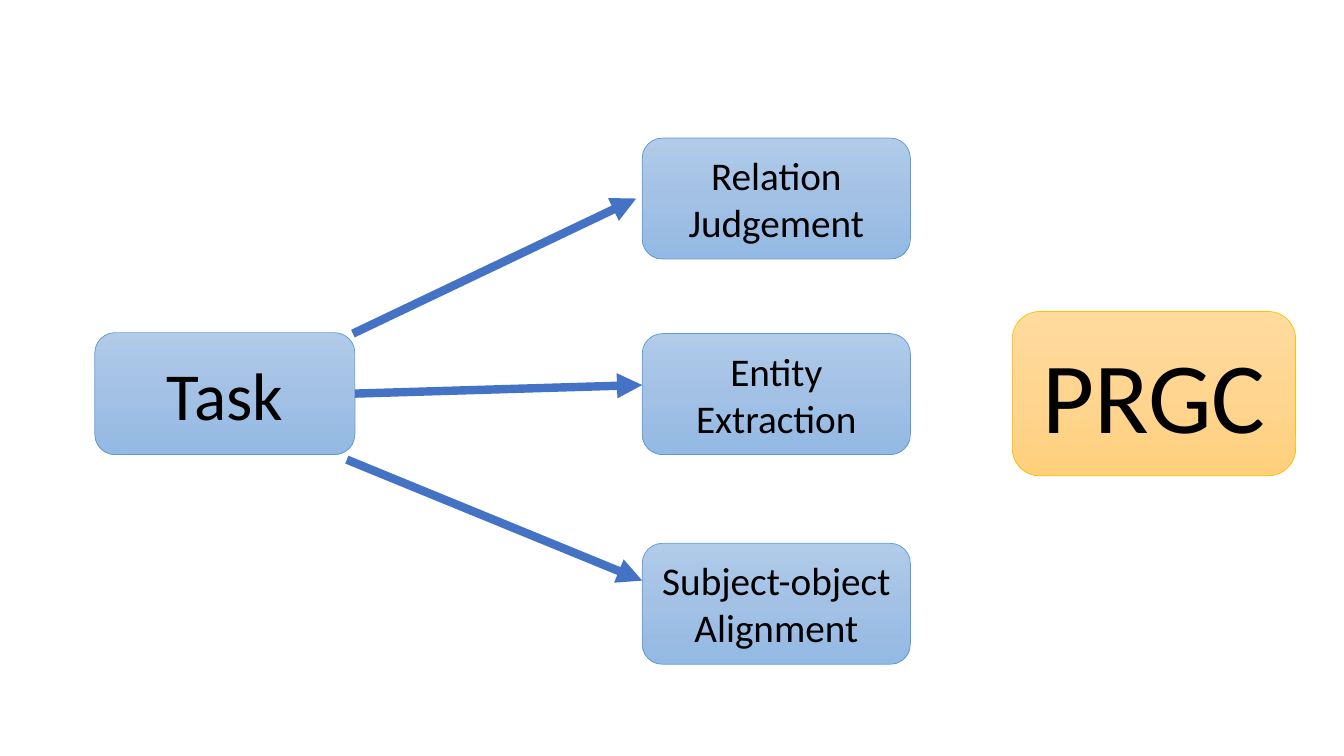
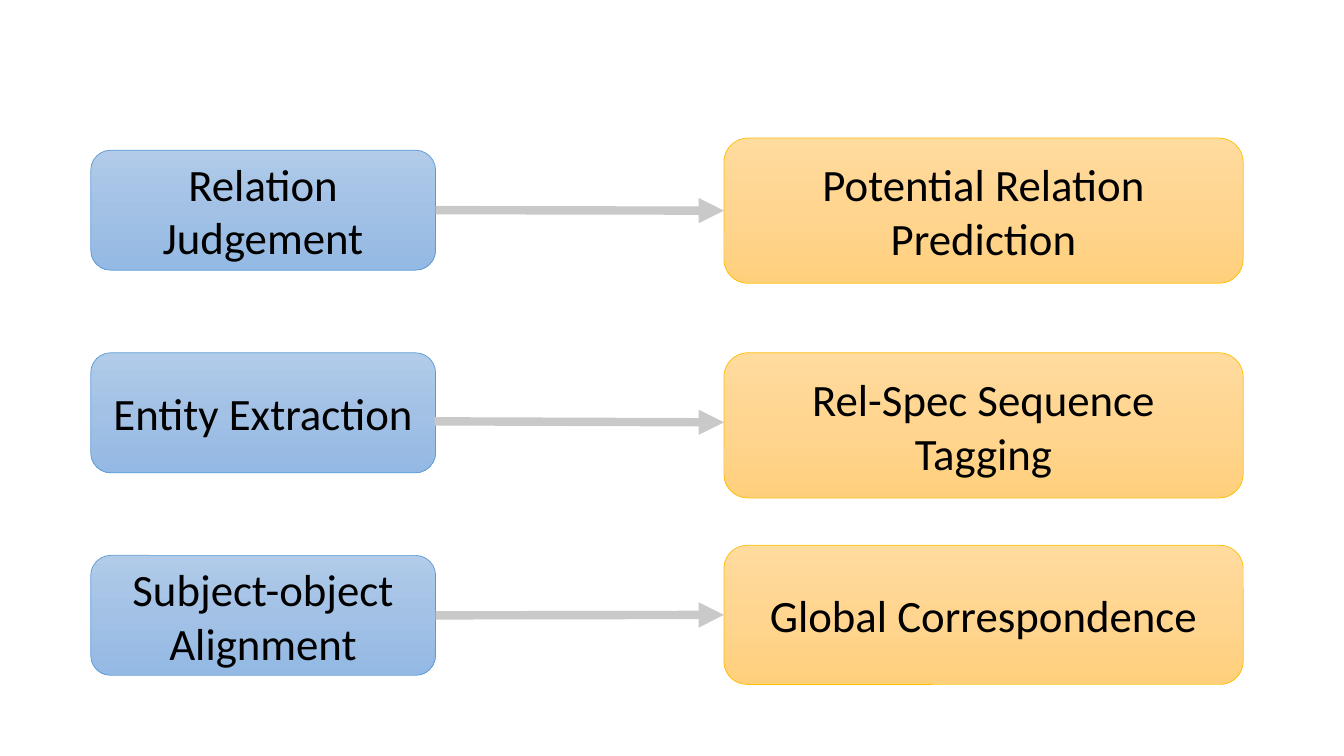
"""Build two slides that map extraction tasks to the parts of PRGC."""
import copy
from dataclasses import dataclass
from typing import Optional

import pptx
import pptx.dml.color
import pptx.enum.dml
import pptx.enum.shapes
import pptx.enum.text
import pptx.oxml
import pptx.oxml.ns
import pptx.util

SCALE = 9144
WIDE, HIGH = 1333, 750
FONT = "Calibri"
LEFT, RIGHT = 1, 3
COLORS = {
    "text": "000000",
    "blue_top": "B1CBE9", "blue_mid": "A3C1E5", "blue_low": "93B9E4", "blue_edge": "5B9BD5",
    "gold_top": "FFDB9E", "gold_mid": "FFD590", "gold_low": "FFD07C", "gold_edge": "FFC000",
    "link": "4472C4", "gray": "C9C9C9",
}
KINDS = pptx.enum.shapes.MSO_SHAPE
PILL = KINDS.FLOWCHART_ALTERNATE_PROCESS


@dataclass(frozen=True)
class Box:
    text: str
    x: int
    y: int
    w: int
    h: int
    size: int
    hue: str = "blue"
    kind: pptx.enum.shapes.MSO_SHAPE = PILL


@dataclass(frozen=True)
class Arrow:
    x1: int
    y1: int
    x2: int
    y2: int
    hue: str
    source: Optional[str] = None
    target: Optional[str] = None


TASKS = ("Relation Judgement", "Entity Extraction", "Subject-object Alignment")
PARTS = ("Potential Relation Prediction", "Rel-Spec Sequence Tagging", "Global Correspondence")

SPLIT = (
    [Box("Task", 94, 330, 258, 121, 48)]
    + [Box(task, 637, y, 266, 120, 28) for task, y in zip(TASKS, (137, 331, 539))]
    + [Box("PRGC", 1004, 309, 281, 163, 72, "gold", KINDS.ROUNDED_RECTANGLE)],
    [
        Arrow(350, 331, 631, 197, "link"),
        Arrow(344, 456, 637, 576, "link"),
        Arrow(352, 391, 637, 382, "link", source="Task"),
    ],
)
MATCH = (
    [Box(task, 90, 149 + 201 * row, 342, 119, 32) for row, task in enumerate(TASKS)]
    + [Box(part, 718, y, 515, h, 32, "gold")
       for part, y, h in zip(PARTS, (137, 350, 541), (144, 144, 138))],
    [
        Arrow(431, 208, 718, 209, "gray", TASKS[0], PARTS[0]),
        Arrow(431, 418, 718, 419, "gray"),
        Arrow(431, 609, 718, 610, "gray", TASKS[2], PARTS[2]),
    ],
)


def px(count: int) -> pptx.util.Emu:
    return pptx.util.Emu(count * SCALE)


def paint(name: str) -> pptx.dml.color.RGBColor:
    return pptx.dml.color.RGBColor.from_string(COLORS[name])


def shade(shape: pptx.shapes.autoshape.Shape, hue: str) -> None:
    fill = shape.fill
    fill.gradient()
    fill.gradient_angle = 270
    stops = next(shape.element.iter(pptx.oxml.ns.qn("a:gsLst")))
    stops.insert(1, copy.deepcopy(stops[0]))
    for stop, place, part in zip(fill.gradient_stops, (0, 0.5, 1), ("top", "mid", "low")):
        stop.position = place
        stop.color.rgb = paint(f"{hue}_{part}")


def draw_box(slide: pptx.slide.Slide, box: Box) -> pptx.shapes.autoshape.Shape:
    shape = slide.shapes.add_shape(box.kind, px(box.x), px(box.y), px(box.w), px(box.h))
    shape.shadow.inherit = False
    shade(shape, box.hue)
    shape.line.color.rgb = paint(f"{box.hue}_edge")
    shape.line.width = pptx.util.Pt(0.5)
    frame = shape.text_frame
    frame.word_wrap = True
    frame.vertical_anchor = pptx.enum.text.MSO_ANCHOR.MIDDLE
    line = frame.paragraphs[0]
    line.alignment = pptx.enum.text.PP_ALIGN.CENTER
    run = line.add_run()
    run.text = box.text
    run.font.name = FONT
    run.font.size = pptx.util.Pt(box.size)
    run.font.color.rgb = paint("text")
    return shape


def draw_arrow(
    slide: pptx.slide.Slide, arrow: Arrow, shapes: dict[str, pptx.shapes.autoshape.Shape]
) -> None:
    link = slide.shapes.add_connector(
        pptx.enum.shapes.MSO_CONNECTOR.STRAIGHT,
        px(arrow.x1), px(arrow.y1), px(arrow.x2), px(arrow.y2),
    )
    if arrow.source:
        link.begin_connect(shapes[arrow.source], RIGHT)
    if arrow.target:
        link.end_connect(shapes[arrow.target], LEFT)
    link.line.color.rgb = paint(arrow.hue)
    link.line.width = pptx.util.Pt(6)
    tip = pptx.oxml.ns.qn("a:tailEnd")
    edge = next(link.element.iter(pptx.oxml.ns.qn("a:ln")))
    edge.append(edge.makeelement(tip, {"type": "triangle"}))
    edge.addnext(edge.makeelement(pptx.oxml.ns.qn("a:effectLst"), {}))


def main() -> None:
    deck = pptx.Presentation()
    deck.slide_width, deck.slide_height = px(WIDE), px(HIGH)
    for boxes, arrows in (SPLIT, MATCH):
        slide = deck.slides.add_slide(deck.slide_layouts[6])
        shapes = {box.text: draw_box(slide, box) for box in boxes}
        for arrow in arrows:
            draw_arrow(slide, arrow, shapes)
    deck.save("out.pptx")


if __name__ == "__main__":
    main()
